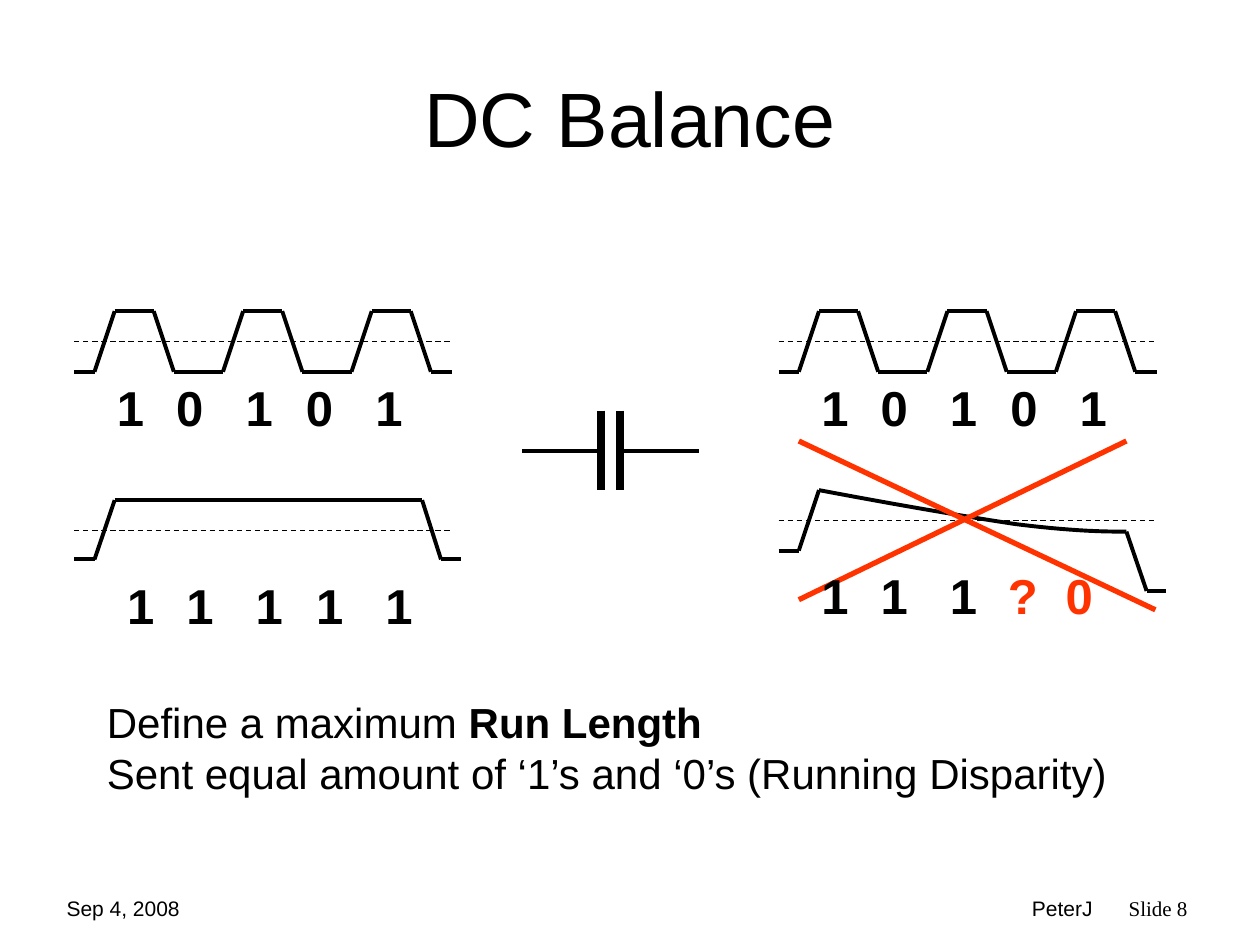
import itertools

import pptx
import pptx.dml.color
import pptx.enum.dml
import pptx.enum.shapes
import pptx.enum.text
import pptx.oxml.ns
import pptx.util
from lxml import etree
from pptx.util import Inches

BLACK = pptx.dml.color.RGBColor(0x00, 0x00, 0x00)
RED = pptx.dml.color.RGBColor(0xFF, 0x33, 0x00)
ALIGN = pptx.enum.text.PP_ALIGN
SANS = "Arial"
SERIF = "Times New Roman"
SIGNAL_WIDTH = 2.25
PLATE_WIDTH = 4.5
SENT_LEFT = 0.59
RECEIVED_LEFT = 6.18
BIT_CENTERS = (0.44, 0.91, 1.46, 1.94, 2.49)


class SlideBuilder:
    def __init__(self, slide):
        self.slide = slide

    def add_run(self, paragraph, text, size, font=SANS, color=BLACK, bold=False):
        run = paragraph.add_run()
        run.text = text
        run.font.name = font
        run.font.size = pptx.util.Pt(size)
        run.font.color.rgb = color
        run.font.bold = bold

    def title(self, text, left, top, width, height):
        heading = self.slide.shapes.title
        heading.left, heading.top = Inches(left), Inches(top)
        heading.width, heading.height = Inches(width), Inches(height)
        frame = heading.text_frame
        frame.auto_size = pptx.enum.text.MSO_AUTO_SIZE.NONE
        frame.vertical_anchor = pptx.enum.text.MSO_ANCHOR.MIDDLE
        frame.paragraphs[0].alignment = ALIGN.CENTER
        self.add_run(frame.paragraphs[0], text, 44)

    def text(self, lines, left, top, width, height, size,
             font=SANS, color=BLACK, align=ALIGN.LEFT, wrap=True):
        box = self.slide.shapes.add_textbox(
            Inches(left), Inches(top), Inches(width), Inches(height))
        frame = box.text_frame
        frame.word_wrap = wrap
        for index, runs in enumerate(lines):
            paragraph = frame.add_paragraph() if index else frame.paragraphs[0]
            paragraph.alignment = align
            for words, bold in runs:
                self.add_run(paragraph, words, size, font, color, bold)

    def line(self, start, end, width=SIGNAL_WIDTH, color=BLACK, dash=None):
        connector = self.slide.shapes.add_connector(
            pptx.enum.shapes.MSO_CONNECTOR.STRAIGHT,
            *(Inches(value) for value in (*start, *end)))
        connector.line.color.rgb = color
        connector.line.width = pptx.util.Pt(width)
        if dash:
            connector.line.dash_style = dash
        properties = connector._element.spPr
        etree.SubElement(properties, pptx.oxml.ns.qn("a:effectLst"))

    def trace(self, points):
        for start, end in itertools.pairwise(points):
            self.line(start, end)

    def curve(self, points):
        start, *rest = [(Inches(x), Inches(y)) for x, y in points]
        builder = self.slide.shapes.build_freeform(*start)
        builder.add_line_segments(rest, close=False)
        outline = builder.convert_to_shape()
        outline.shadow.inherit = False
        outline.fill.background()
        outline.line.color.rgb = BLACK
        outline.line.width = pptx.util.Pt(SIGNAL_WIDTH)

    def threshold(self, left, y):
        self.line((left, y), (left + 2.99, y), 0.75,
                  dash=pptx.enum.dml.MSO_LINE.DASH)

    def bits(self, bits, left, top, centers=BIT_CENTERS, errors=0):
        for index, (bit, center) in enumerate(zip(bits, centers)):
            color = RED if index >= len(bits) - errors else BLACK
            self.text([[(bit, True)]], left + center - 0.2, top, 0.41, 0.57,
                      28, color=color, align=ALIGN.CENTER, wrap=False)


def bezier(a, b, c, d, steps=12):
    for step in range(steps + 1):
        t = step / steps
        weights = ((1 - t) ** 3, 3 * t * (1 - t) ** 2, 3 * t * t * (1 - t), t ** 3)
        yield tuple(sum(w * p for w, p in zip(weights, axis))
                    for axis in zip(a, b, c, d))


def alternating_wave(left, high=2.47, low=2.95, period=1.02):
    points = [(left, low)]
    for pulse in range(3):
        rise = left + 0.16 + pulse * period
        points += [(rise, low), (rise + 0.16, high),
                   (rise + 0.47, high), (rise + 0.63, low)]
    return points + [(left + 3, low)]


def main():
    presentation = pptx.Presentation()
    presentation.slide_width = Inches(10)
    presentation.slide_height = Inches(7.5)
    page = SlideBuilder(
        presentation.slides.add_slide(presentation.slide_layouts[5]))

    page.text([[("PeterJ", False)]], 6.34, 7.06, 2.43, 0.29, 12,
              align=ALIGN.RIGHT)
    page.text([[("Slide 8", False)]], 8.86, 7.06, 0.94, 0.3, 12, font=SERIF)
    page.text([[("Sep 4, 2008", False)]], 0.43, 7.06, 1.45, 0.29, 12)
    page.title("DC Balance", 0.5, 0.3, 9, 1.25)

    for plate, lead_end in ((4.77, 4.14), (4.92, 5.55)):
        page.line((plate, 3.26), (plate, 3.89), PLATE_WIDTH)
        page.line((plate, 3.58), (lead_end, 3.58))

    for left in (SENT_LEFT, RECEIVED_LEFT):
        page.trace(alternating_wave(left))
        page.threshold(left, 2.71)
        page.bits("10101", left, 2.95)

    page.trace([(0.59, 4.44), (0.75, 4.44), (0.91, 3.97),
                (3.35, 3.97), (3.5, 4.44), (3.66, 4.44)])
    page.threshold(SENT_LEFT, 4.21)
    page.bits("11111", SENT_LEFT + 0.08, 4.52)

    page.trace([(6.18, 4.37), (6.34, 4.37), (6.5, 3.89)])
    droop = bezier((6.5, 3.89), (7.08, 4), (7.66, 4.1), (8.06, 4.16))
    settle = bezier((8.06, 4.16), (8.47, 4.21), (8.7, 4.22), (8.94, 4.22))
    page.curve([*droop, *itertools.islice(settle, 1, None)])
    page.trace([(8.94, 4.22), (9.1, 4.69), (9.25, 4.69)])
    page.threshold(RECEIVED_LEFT, 4.13)
    page.line((6.34, 4.76), (8.94, 3.5), 3, RED)
    page.line((6.34, 3.5), (9.17, 4.84), 3, RED)
    page.bits("111?0", RECEIVED_LEFT, 4.44,
              (*BIT_CENTERS[:3], 1.92, 2.38), errors=2)

    page.text([
        [("Define a maximum ", False), ("Run Length", True)],
        [("Sent equal amount of ‘1’s and ‘0’s (Running Disparity)", False)],
    ], 0.75, 5.48, 8.98, 0.9, 24)

    presentation.save("out.pptx")


if __name__ == "__main__":
    main()
